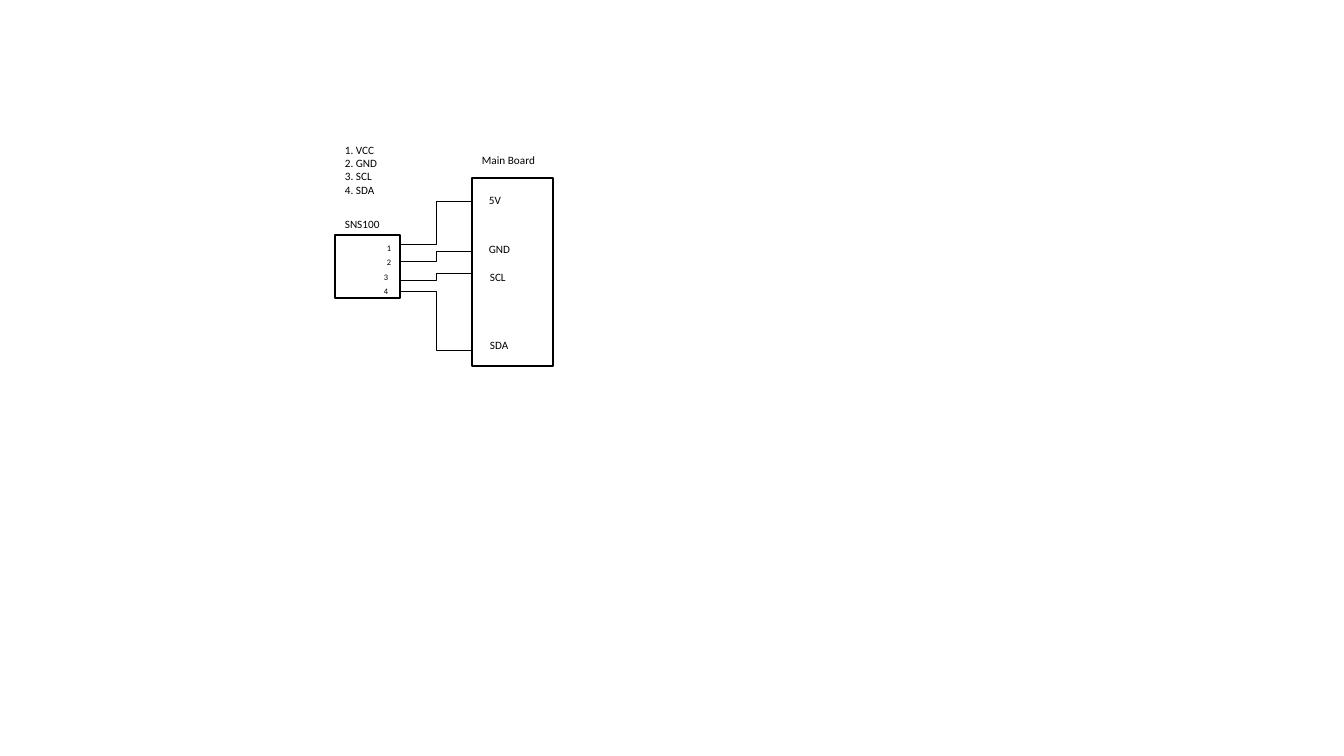
from lxml import etree
from pptx import Presentation, util as u
from pptx.dml.color import RGBColor
from pptx.enum import shapes, text
from pptx.oxml.ns import qn

theme = {
    "ink": RGBColor(0, 0, 0),
    "fill": RGBColor(255, 255, 255),
    "font": "Calibri",
    "label": u.Pt(8),
    "pin": u.Pt(6),
    "edge": u.Pt(1),
    "wire": u.Pt(0.5),
}
SCALE = u.Inches(1) / 100.8


def px(*vals):
    return [u.Emu(round(val * SCALE)) for val in vals]


def write(words, left, top, wide=60, high=24, size="label"):
    box = slide.shapes.add_textbox(*px(left, top, wide, high))
    frame = box.text_frame
    frame.word_wrap = True
    frame.auto_size = text.MSO_AUTO_SIZE.SHAPE_TO_FIT_TEXT
    frame.text = words
    for para in frame.paragraphs:
        para.font.name = theme["font"]
        para.font.size = theme[size]
        para.font.color.rgb = theme["ink"]


deck = Presentation()
deck.slide_width, deck.slide_height = px(1344, 756)
slide = deck.slides.add_slide(deck.slide_layouts[6])

sensor = (335, 235, 65, 63)
board = (472, 178, 81, 188)
for part in (sensor, board):
    rect = slide.shapes.add_shape(shapes.MSO_SHAPE.RECTANGLE, *px(*part))
    rect.shadow.inherit = False
    rect.fill.solid()
    rect.fill.fore_color.rgb = theme["fill"]
    rect.line.color.rgb = theme["ink"]
    rect.line.width = theme["edge"]

start = sensor[0] + sensor[2]
for begin, end in ((291, 350), (244, 201), (280, 273), (261, 251)):
    wire = slide.shapes.add_connector(
        shapes.MSO_CONNECTOR.ELBOW, *px(start, begin, board[0], end))
    wire.line.color.rgb = theme["ink"]
    wire.line.width = theme["wire"]
    etree.SubElement(wire._element.spPr, qn("a:effectLst"))

for pin, left, top in (("1", 377, 238), ("2", 377, 252),
                       ("3", 374, 267), ("4", 374, 281)):
    write(pin, left, top, wide=25, high=20, size="pin")

for port, left, top in (("5V", 479, 188), ("GND", 479, 237),
                        ("SDA", 480, 333), ("SCL", 480, 265)):
    write(port, left, top, wide=47)

write("Main Board", 472, 148, wide=90)
write("SNS100", 335, 212, wide=70)
write("1. VCC\n2. GND\n3. SCL\n4. SDA", 335, 138, high=64)

deck.save("out.pptx")
